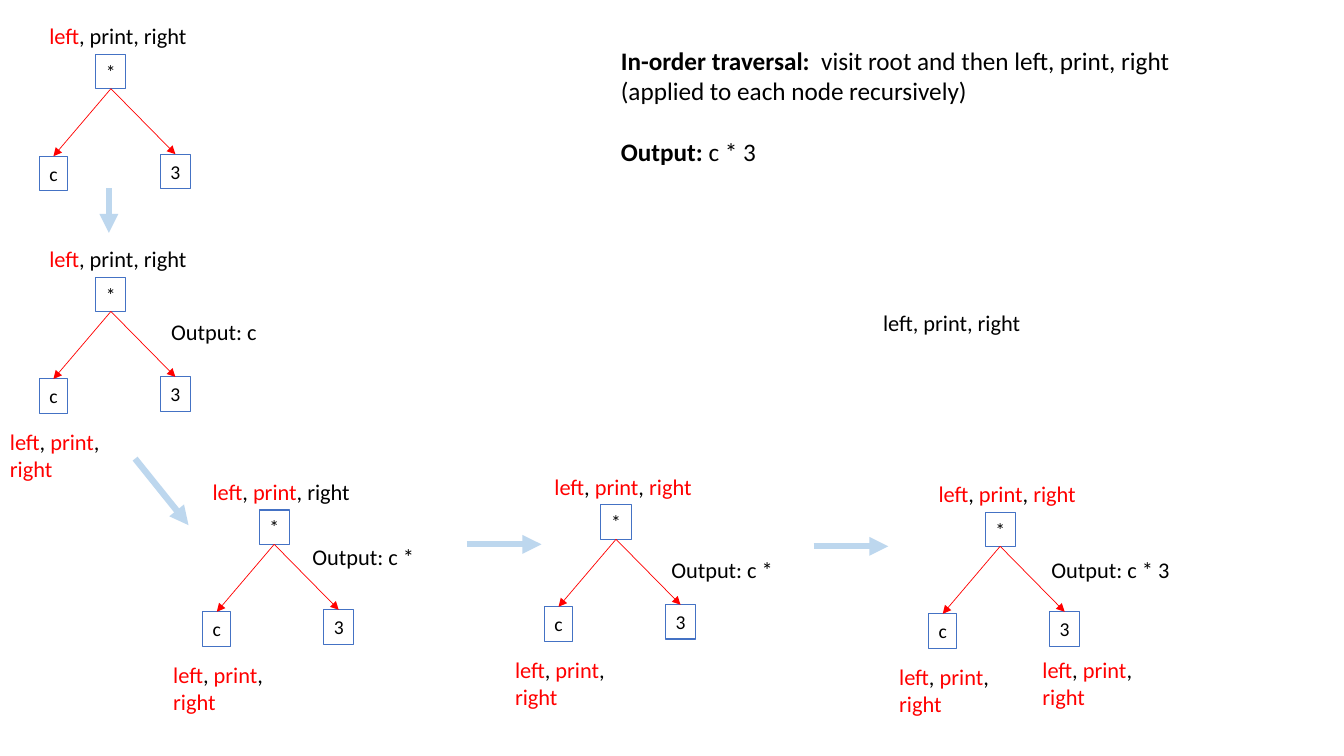
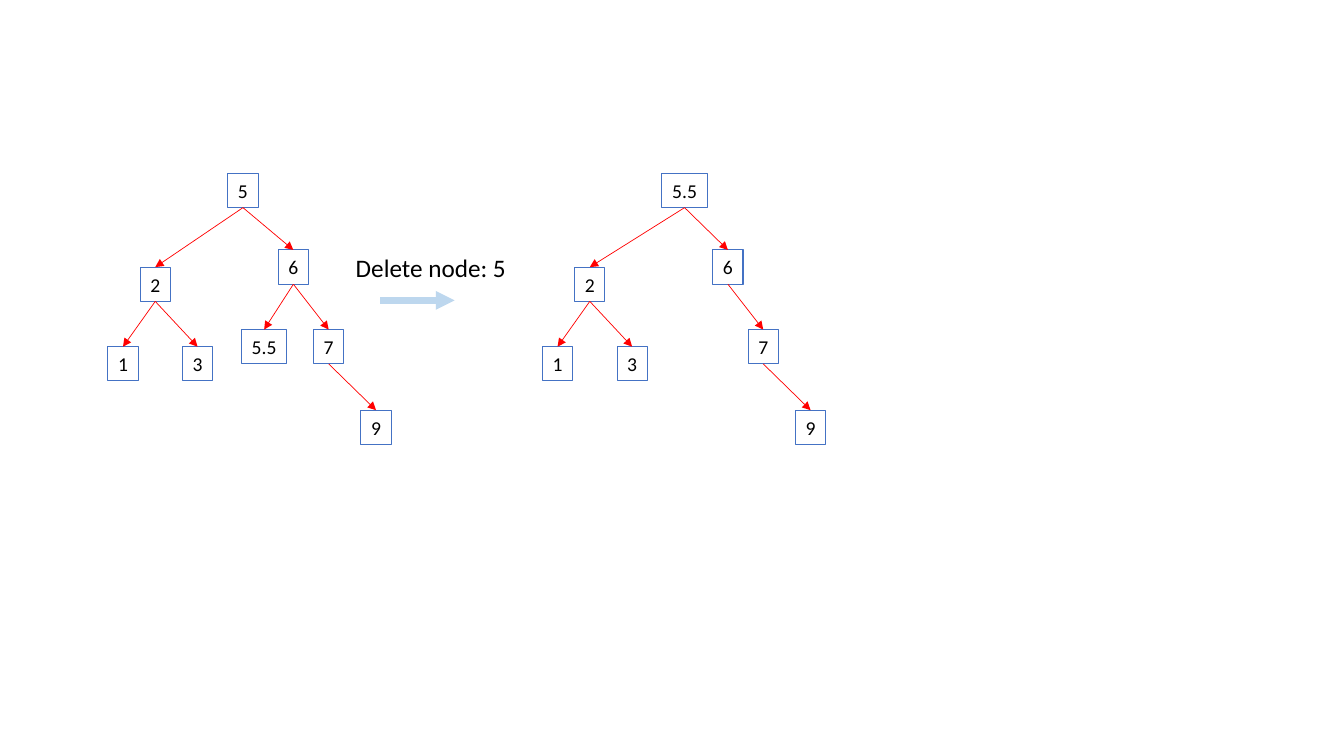
from lxml.etree import SubElement
from pptx import Presentation
from pptx.dml.color import RGBColor
from pptx.enum.shapes import MSO_CONNECTOR, MSO_SHAPE
from pptx.enum.text import MSO_ANCHOR, PP_ALIGN
from pptx.oxml.ns import qn
from pptx.util import Inches, Pt

FONT = "Calibri"
BLACK = RGBColor(0x00, 0x00, 0x00)
RED = RGBColor(0xFF, 0x00, 0x00)
NODE_BLUE = RGBColor(0x44, 0x72, 0xC4)
STEP_BLUE = RGBColor(0xBD, 0xD7, 0xEE)

BOTTOM, TOP = 2, 0
NODE_HEIGHT = 0.34
NODE_WIDTHS = {"c": 0.28, "5.5": 0.45}  # every other node: 0.3

STEPS = ("left", "print", "right")

# Nodes are label: (centre x, top), relative to the place of the tree
EXPRESSION = {"*": (0, 0), "c": (-0.57, 1.01), "3": (0.64, 0.99)}
EXPRESSION_EDGES = [("*", "c"), ("*", "3")]

# root centre, root top, steps done at the root, leaves done, output, place of output
STAGES = [
    (1.10, 0.54, 1, "", "", None),
    (1.10, 2.75, 1, "c", "c", (1.6, 3.11)),
    (2.72, 5.06, 2, "c", "c *", (3, 5.34)),
    (6.11, 5.01, 3, "c", "c *", (6.56, 5.47)),
    (9.92, 5.08, 3, "c3", "c * 3", (10.33, 5.47)),
]
LEAF_NOTES = {"c": (-1.1, 1.45, 1.34), "3": (0.32, 1.38, 1.48)}
STAGE_ARROWS = [
    ((1.08, 1.87), (1.08, 2.31)),
    ((1.34, 4.55), (1.87, 5.21)),
    ((4.63, 5.40), (5.37, 5.40)),
    ((8.07, 5.42), (8.81, 5.42)),
]
EXPLANATION = [
    [("In-order traversal: ", BLACK, True),
     (" visit root and then left, print, right", BLACK, False)],
    [("(applied to each node recursively)", BLACK, False)],
    [("Output:", BLACK, True), (" c * 3", BLACK, False)],
]

SHARED_NODES = {
    "2": (1.54, 2.65), "6": (2.91, 2.48), "1": (1.22, 3.44),
    "3": (1.96, 3.44), "7": (3.26, 3.27), "9": (3.73, 4.07),
}
SHARED_EDGES = [("2", "1"), ("2", "3"), ("6", "7"), ("7", "9")]
BEFORE = SHARED_NODES | {"5": (2.41, 1.72), "5.5": (2.62, 3.27)}
BEFORE_EDGES = SHARED_EDGES + [("5", "2"), ("5", "6"), ("6", "5.5")]
AFTER = SHARED_NODES | {"5.5": (2.48, 1.72)}
AFTER_EDGES = SHARED_EDGES + [("5.5", "2"), ("5.5", "6")]
AFTER_SHIFT = 4.31


def add_spans(para, spans, size):
    for text, color, bold in spans:
        span = para.add_run()
        span.text = text
        span.font.name = FONT
        span.font.size = Pt(size)
        span.font.bold = bold
        span.font.color.rgb = color


def add_text(page, paragraphs, left, top, width, height=0.37, size=16, wrap=True, last_gap=0):
    """Place paragraphs, each a plain string or a list of (text, colour, bold)."""
    box = page.shapes.add_textbox(Inches(left), Inches(top), Inches(width), Inches(height))
    frame = box.text_frame
    frame.word_wrap = wrap
    for index, spans in enumerate(paragraphs):
        para = frame.add_paragraph() if index else frame.paragraphs[0]
        if isinstance(spans, str):
            spans = [(spans, BLACK, False)]
        add_spans(para, spans, size)
    if last_gap:
        para.space_before = Pt(last_gap)


def add_arrow(page, start=(0, 0), end=(0, 0), color=RED, width=0.5):
    points = [Inches(value) for value in (*start, *end)]
    arrow = page.shapes.add_connector(MSO_CONNECTOR.STRAIGHT, *points)
    arrow.line.color.rgb = color
    arrow.line.width = Pt(width)
    SubElement(arrow.line._get_or_add_ln(), qn("a:tailEnd"), type="triangle")
    SubElement(arrow._element.spPr, qn("a:effectLst"))
    return arrow


def add_node(page, label, center, top):
    width = NODE_WIDTHS.get(label, 0.3)
    node = page.shapes.add_shape(
        MSO_SHAPE.RECTANGLE, Inches(center - width / 2), Inches(top),
        Inches(width), Inches(NODE_HEIGHT))
    node.shadow.inherit = False
    node.fill.background()
    node.line.color.rgb = NODE_BLUE
    node.line.width = Pt(0.75)
    frame = node.text_frame
    frame.word_wrap = False
    frame.vertical_anchor = MSO_ANCHOR.MIDDLE
    frame.paragraphs[0].alignment = PP_ALIGN.CENTER
    add_spans(frame.paragraphs[0], [(label, BLACK, False)], 14)
    return node


def add_tree(page, nodes, edges, x=0, y=0):
    boxes = {label: add_node(page, label, x + center, y + top)
             for label, (center, top) in nodes.items()}
    for parent, child in edges:
        arrow = add_arrow(page)
        arrow.begin_connect(boxes[parent], BOTTOM)
        arrow.end_connect(boxes[child], TOP)


def step_spans(done):
    """The three steps, with the first ones done in red."""
    spans = []
    for index, step in enumerate(STEPS):
        if index:
            spans.append((", ", BLACK, False))
        spans.append((step, RED if index < done else BLACK, False))
    return spans


def build_traversal(page):
    add_text(page, EXPLANATION, 6.06, 0.4, 5.76, 1.92, size=18, last_gap=22)
    add_text(page, [step_spans(0)], 8.66, 3.02, 1.81)
    for x, y, done, leaves, output, place in STAGES:
        add_tree(page, EXPRESSION, EXPRESSION_EDGES, x, y)
        add_text(page, [step_spans(done)], x - 0.71, y - 0.37, 1.81)
        for leaf in leaves:
            left, top, width = LEAF_NOTES[leaf]
            add_text(page, [step_spans(3)], x + left, y + top, width, 0.64)
        if output:
            add_text(page, [f"Output: {output}"], *place, 1.49)
    for start, end in STAGE_ARROWS:
        add_arrow(page, start, end, STEP_BLUE, 4.5)


def build_deletion(page):
    add_tree(page, BEFORE, BEFORE_EDGES)
    add_tree(page, AFTER, AFTER_EDGES, x=AFTER_SHIFT)
    add_text(page, ["Delete node: 5"], 3.43, 2.45, 1.71, 0.4, size=18, wrap=False)
    add_arrow(page, (3.77, 2.98), (4.51, 2.98), STEP_BLUE, 4.5)


def main():
    deck = Presentation()
    deck.slide_width, deck.slide_height = Inches(13.33), Inches(7.5)
    for build in (build_traversal, build_deletion):
        build(deck.slides.add_slide(deck.slide_layouts[6]))
    deck.save("out.pptx")


if __name__ == "__main__":
    main()
